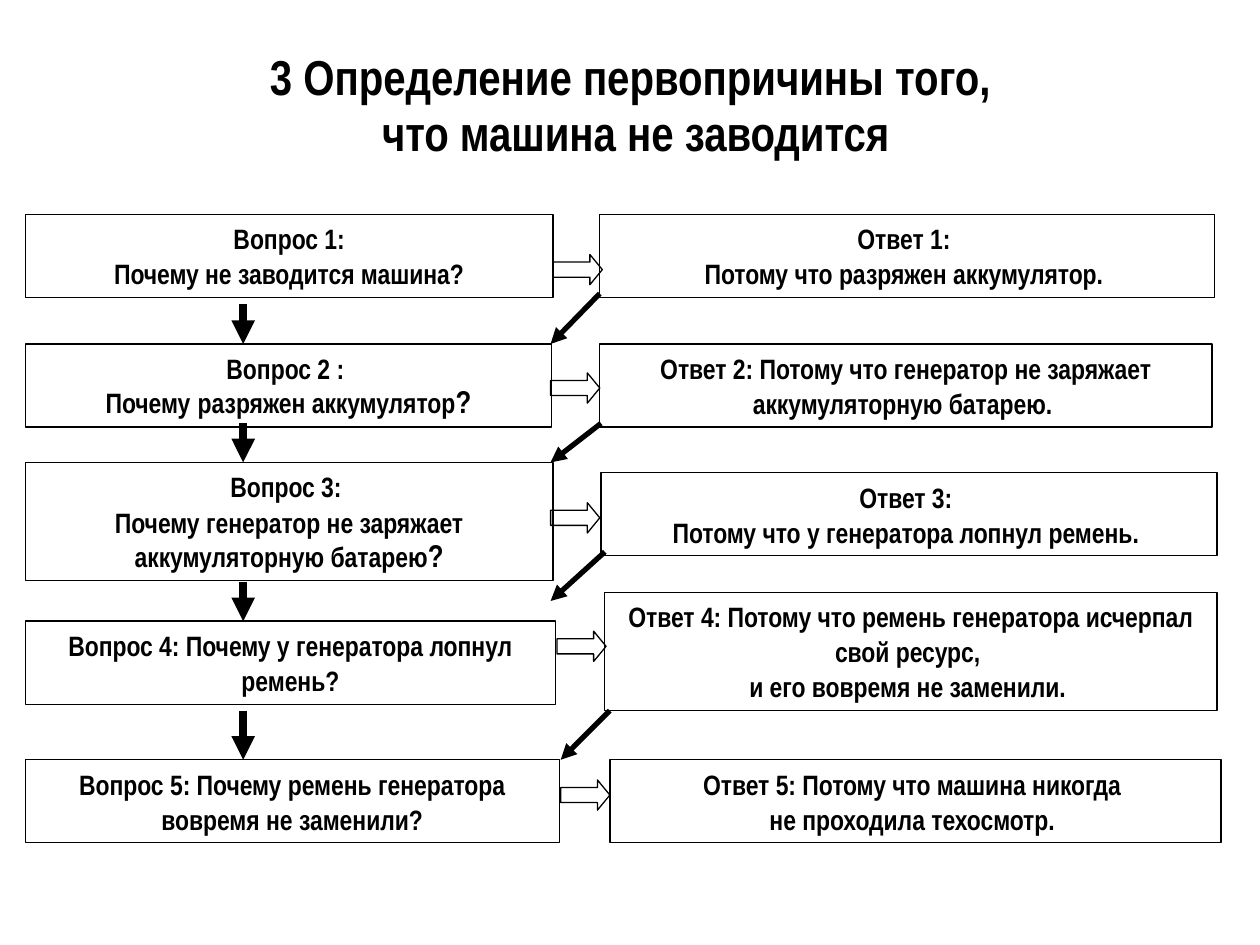
from lxml import etree
from pptx import Presentation
from pptx.dml.color import RGBColor
from pptx.enum import shapes, text
from pptx.oxml import ns
from pptx.util import Inches, Pt

COLOURS = {"ink": "000000", "background": "FFFFFF"}
INK = RGBColor.from_string(COLOURS["ink"])
FONT = {"name": "Arial Narrow", "bold": True}
BOX_FRAME = {
    "word_wrap": True,
    "auto_size": text.MSO_AUTO_SIZE.SHAPE_TO_FIT_TEXT,
    "vertical_anchor": text.MSO_ANCHOR.TOP,
}
TITLE_FRAME = {"word_wrap": True, "vertical_anchor": text.MSO_ANCHOR.MIDDLE}
TITLE = "3 Определение первопричины того, \vчто машина не заводится"

# Each box: left, top, width, height, paragraphs; a paragraph is a list of runs,
# and a run given as a pair carries its own size.
QUESTIONS = [
    (0.2, 1.7, 4.19, 0.66, [["Вопрос 1:"], ["Почему не заводится машина?"]]),
    (0.2, 2.73, 4.18, 0.66, [["Вопрос 2 : "],
                             ["Почему", (" ", 18), "разряжен аккумулятор", ("?", 18)]]),
    (0.2, 3.67, 4.19, 0.94, [["Вопрос 3: "],
                             ["Почему генератор не заряжает аккумуляторную батарею", ("?", 18)]]),
    (0.2, 4.93, 4.21, 0.66, [["Вопрос 4: Почему у генератора лопнул ремень?"]]),
    (0.2, 6.03, 4.24, 0.66, [["Вопрос 5: Почему ремень генератора вовремя не заменили?"]]),
]
ANSWERS = [
    (4.76, 1.7, 4.88, 0.66, [["Ответ 1: "], ["Потому что разряжен аккумулятор. "]]),
    (4.76, 2.73, 4.86, 0.66,
     [["Ответ 2: Потому что генератор не заряжает аккумуляторную батарею. "]]),
    (4.77, 3.75, 4.89, 0.66, [["Ответ 3: "], ["Потому что у генератора лопнул ремень. "]]),
    (4.8, 4.7, 4.86, 0.94, [["Ответ 4: Потому что ремень генератора исчерпал свой ресурс, "],
                            ["и его вовремя не заменили. "]]),
    (4.84, 6.03, 4.85, 0.66, [["Ответ 5: Потому что машина никогда "],
                              ["не проходила техосмотр. "]]),
]
BLOCK_ARROWS = [(4.39, 2.02), (4.37, 2.96), (4.37, 3.99), (4.42, 5.01), (4.45, 6.19)]
DOWN_X = 1.93
DOWN_ARROWS = [(2.41, 2.73), (3.36, 3.67), (4.62, 4.93), (5.64, 6.03)]
BACK_ARROWS = [
    (4.76, 2.33, 4.37, 2.73),
    (4.77, 3.36, 4.37, 3.67),
    (4.8, 4.38, 4.37, 4.77),
    (4.84, 5.64, 4.45, 6.03),
]


def apply(target, values):
    for name, value in values.items():
        setattr(target, name, value)


def format_paragraph(paragraph, spacing):
    apply(paragraph, {"alignment": text.PP_ALIGN.CENTER, "line_spacing": Pt(spacing),
                      "space_before": Pt(0), "space_after": Pt(0)})


def format_run(run, size):
    apply(run.font, {**FONT, "size": Pt(size)})
    run.font.color.rgb = INK


def add_title(slide):
    box = slide.shapes.add_textbox(Inches(0.51), Inches(0.36), Inches(9.07), Inches(0.96))
    apply(box.text_frame, TITLE_FRAME)
    paragraph = box.text_frame.paragraphs[0]
    paragraph.text = TITLE
    format_paragraph(paragraph, 32)
    for run in paragraph.runs:
        format_run(run, 28)


def add_outline(slide, kind, left, top, width, height):
    """Add an unfilled preset shape with a thin line."""
    shape = slide.shapes.add_shape(kind, *map(Inches, (left, top, width, height)))
    shape.shadow.inherit = False
    shape.fill.background()
    shape.line.color.rgb = INK
    shape.line.width = Pt(0.75)
    return shape


def add_box(slide, left, top, width, height, paragraphs):
    shape = add_outline(slide, shapes.MSO_SHAPE.RECTANGLE, left, top, width, height)
    frame = shape.text_frame
    apply(frame, BOX_FRAME)
    for index, runs in enumerate(paragraphs):
        paragraph = frame.add_paragraph() if index else frame.paragraphs[0]
        format_paragraph(paragraph, 20)
        for item in runs:
            content, size = (item, 16) if isinstance(item, str) else item
            run = paragraph.add_run()
            run.text = content
            format_run(run, size)


def add_block_arrow(slide, left, top):
    arrow = add_outline(slide, shapes.MSO_SHAPE.RIGHT_ARROW, left, top, 0.39, 0.24)
    arrow.adjustments[0] = 0.5
    arrow.adjustments[1] = 0.41


def add_line_arrow(slide, start_x, start_y, end_x, end_y, width):
    connector = slide.shapes.add_connector(
        shapes.MSO_CONNECTOR.STRAIGHT, *map(Inches, (start_x, start_y, end_x, end_y)))
    connector.line.color.rgb = INK
    connector.line.width = Pt(width)
    line = connector.line._get_or_add_ln()
    etree.SubElement(line, ns.qn("a:tailEnd"), type="triangle")
    etree.SubElement(line.getparent(), ns.qn("a:effectLst"))


def main():
    presentation = Presentation()
    presentation.slide_width = Inches(10)
    presentation.slide_height = Inches(7.5)
    slide = presentation.slides.add_slide(presentation.slide_layouts[6])
    slide.background.fill.solid()
    slide.background.fill.fore_color.rgb = RGBColor.from_string(COLOURS["background"])

    add_title(slide)
    for box in QUESTIONS + ANSWERS:
        add_box(slide, *box)
    for position in BLOCK_ARROWS:
        add_block_arrow(slide, *position)
    for top, bottom in DOWN_ARROWS:
        add_line_arrow(slide, DOWN_X, top, DOWN_X, bottom, 4.5)
    for ends in BACK_ARROWS:
        add_line_arrow(slide, *ends, 3)
    presentation.save("out.pptx")


if __name__ == "__main__":
    main()
